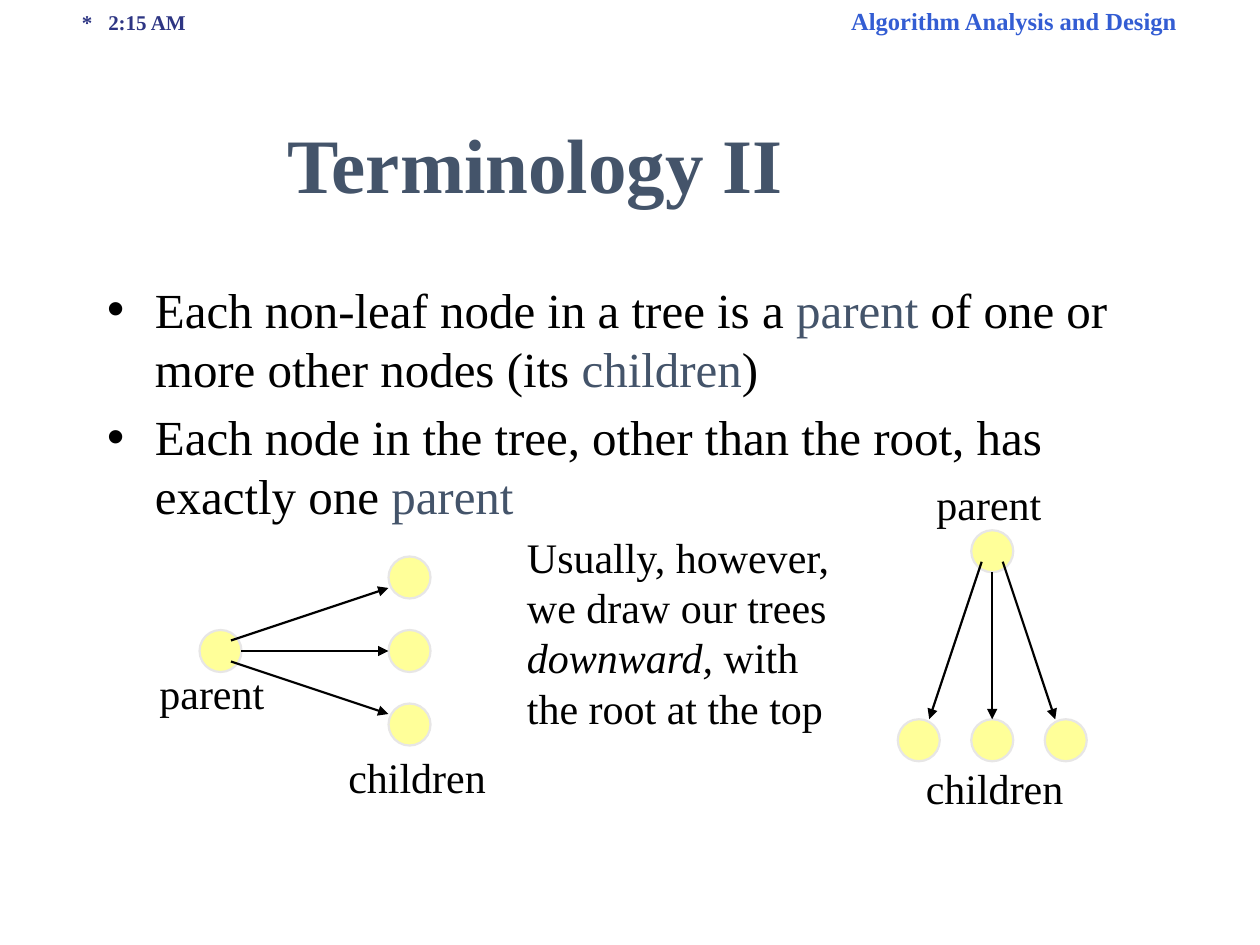
from lxml import etree
from pptx import Presentation
from pptx.dml.color import RGBColor
from pptx.enum.shapes import MSO_CONNECTOR, MSO_SHAPE
from pptx.enum.text import MSO_ANCHOR, MSO_AUTO_SIZE, PP_ALIGN
from pptx.oxml.ns import qn
from pptx.util import Inches, Pt

STRAIGHT = MSO_CONNECTOR.STRAIGHT
OVAL = MSO_SHAPE.OVAL
MIDDLE, TOP = MSO_ANCHOR.MIDDLE, MSO_ANCHOR.TOP
CENTER, LEFT = PP_ALIGN.CENTER, PP_ALIGN.LEFT
NO_AUTOFIT = MSO_AUTO_SIZE.NONE

FONT = "Times New Roman"
COLORS = {
    "text": "000000",
    "accent": "44546A",
    "time": "2D3583",
    "course": "335DD3",
    "node": "FFFF99",
    "outline": "E7E6E6",
}
TITLE = "Terminology II"
HEADER = [("*\t2:15 AM\t", 12, "time"), ("Algorithm Analysis and Design", 14, "course")]
BULLETS = [
    [
        ("Each non-leaf node in a tree is a ", "text"),
        ("parent", "accent"),
        (" of one or more other nodes (its ", "text"),
        ("children", "accent"),
        (")", "text"),
    ],
    [
        ("Each node in the tree, other than the root, has exactly one ", "text"),
        ("parent", "accent"),
    ],
]
NOTE = [
    ("Usually, however, we draw our trees ", False),
    ("downward,", True),
    (" with the root at the top", False),
]

UNIT = Inches(1) / 12
RADIUS = 2
NODES = [(0, 0), (18, -7), (18, 0), (18, 7)]
ARROWS = [((2, 0), (16, 0)), ((1, -1), (16, -6)), ((1, 1), (16, 6))]
TREES = [
    {
        "root": (21, 62),
        "downward": False,
        "labels": [("parent", 14, 63, 15), ("children", 32, 71, 17)],
    },
    {
        "root": (94.5, 52.5),
        "downward": True,
        "labels": [("parent", 88, 45, 15), ("children", 87, 72, 17)],
    },
]


def color(name):
    return RGBColor.from_string(COLORS[name])


def grid(*values):
    return [round(value * UNIT) for value in values]


def add_run(paragraph, text, size, color_name="text", bold=False, italic=False):
    run = paragraph.add_run()
    run.text = text
    font = run.font
    font.name, font.size = FONT, Pt(size)
    font.bold, font.italic = bold, italic
    font.color.rgb = color(color_name)


def place(shape, left, top, width, height):
    shape.left, shape.top, shape.width, shape.height = grid(left, top, width, height)
    shape.text_frame.word_wrap = True
    shape.text_frame.auto_size = NO_AUTOFIT


def add_text_box(slide, left, top, width, height):
    box = slide.shapes.add_textbox(0, 0, 0, 0)
    place(box, left, top, width, height)
    return box.text_frame


def add_header(slide):
    frame = add_text_box(slide, 0, 0, 120, 4)
    frame.margin_left = Inches(0.65)
    paragraph = frame.paragraphs[0]
    properties = paragraph._p.get_or_add_pPr()
    tabs = etree.SubElement(properties, qn("a:tabLst"))
    for position, alignment in [(0.21, "l"), (8.69, "r")]:
        etree.SubElement(tabs, qn("a:tab"), pos=str(Inches(position)), algn=alignment)
    for text, size, color_name in HEADER:
        add_run(paragraph, text, size, color_name, bold=True)


def add_title(slide):
    title = slide.shapes.title
    place(title, 0, 8, 102, 15)
    title.text_frame.vertical_anchor = MIDDLE
    paragraph = title.text_frame.paragraphs[0]
    paragraph.alignment = CENTER
    add_run(paragraph, TITLE, 44, "accent", bold=True)


def add_bullets(slide):
    body = slide.placeholders[1]
    place(body, 9, 26, 102, 25.2)
    frame = body.text_frame
    frame.vertical_anchor = TOP
    for index, parts in enumerate(BULLETS):
        paragraph = frame.add_paragraph() if index else frame.paragraphs[0]
        paragraph.alignment = LEFT
        paragraph.space_before = Pt(5.6 if index else 0)
        properties = paragraph._p.get_or_add_pPr()
        properties.set("marL", str(Inches(0.38)))
        properties.set("indent", str(Inches(-0.38)))
        bullet_color = etree.SubElement(properties, qn("a:buClr"))
        etree.SubElement(bullet_color, qn("a:srgbClr"), val=COLORS["text"])
        etree.SubElement(properties, qn("a:buChar"), char="•")
        for text, color_name in parts:
            add_run(paragraph, text, 28, color_name)


def add_node(slide, x, y):
    node = slide.shapes.add_shape(
        OVAL, *grid(x - RADIUS, y - RADIUS, 2 * RADIUS, 2 * RADIUS)
    )
    node.shadow.inherit = False
    node.fill.solid()
    node.fill.fore_color.rgb = color("node")
    node.line.color.rgb = color("outline")
    node.line.width = Pt(1.25)


def add_arrow(slide, start, end):
    arrow = slide.shapes.add_connector(STRAIGHT, *grid(*start, *end))
    arrow.line.color.rgb = color("text")
    arrow.line.width = Pt(1.25)
    etree.SubElement(arrow.line._get_or_add_ln(), qn("a:tailEnd"), type="triangle")
    etree.SubElement(arrow._element.spPr, qn("a:effectLst"))


def add_tree(slide, tree):
    root_x, root_y = tree["root"]

    def locate(point):
        along, across = point
        if tree["downward"]:
            return root_x + across, root_y + along
        return root_x + along, root_y + across

    for node in NODES:
        add_node(slide, *locate(node))
    for start, end in ARROWS:
        add_arrow(slide, locate(start), locate(end))
    for text, left, top, width in tree["labels"]:
        frame = add_text_box(slide, left, top, width, 6)
        add_run(frame.paragraphs[0], text, 24)


def main():
    presentation = Presentation()
    presentation.slide_width, presentation.slide_height = Inches(10), Inches(7.5)
    slide = presentation.slides.add_slide(presentation.slide_layouts[1])
    add_header(slide)
    add_bullets(slide)
    add_title(slide)
    for tree in TREES:
        add_tree(slide, tree)
    note = add_text_box(slide, 49, 50, 34, 20.4)
    for text, italic in NOTE:
        add_run(note.paragraphs[0], text, 24, italic=italic)
    presentation.save("out.pptx")


if __name__ == "__main__":
    main()
